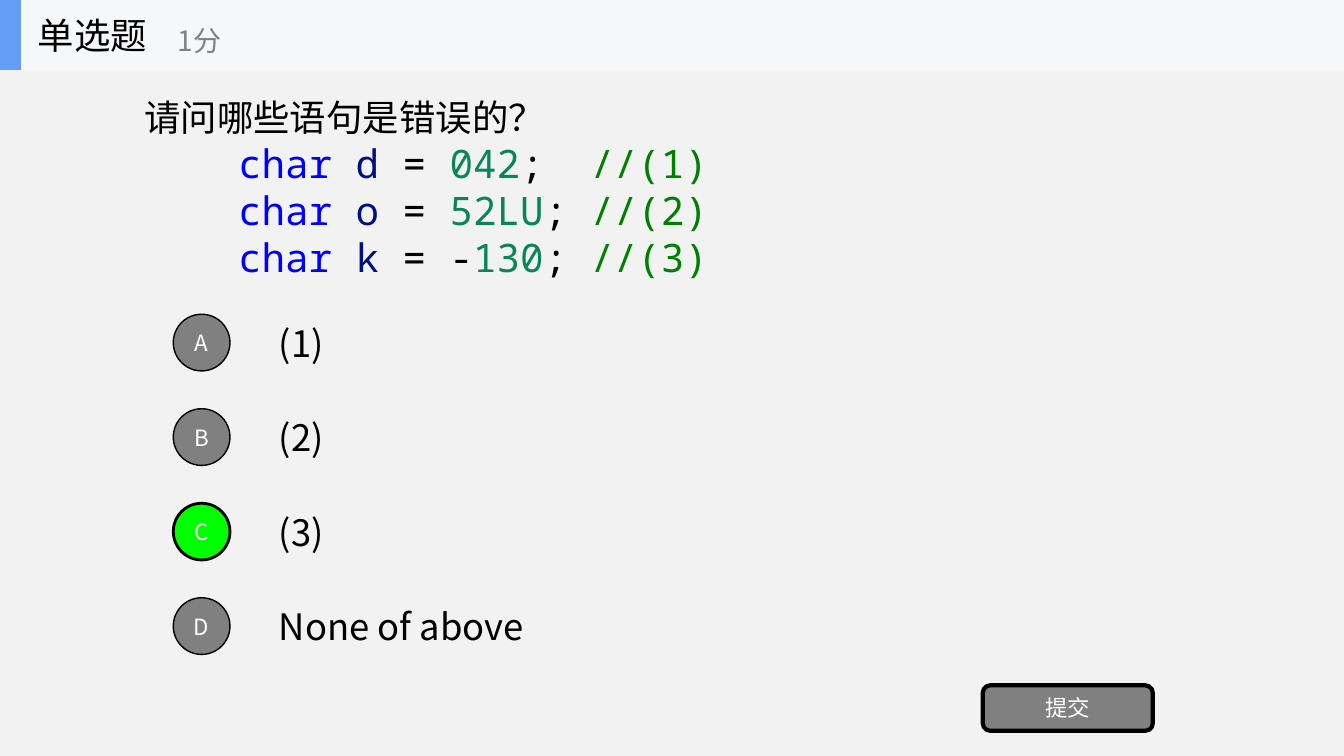
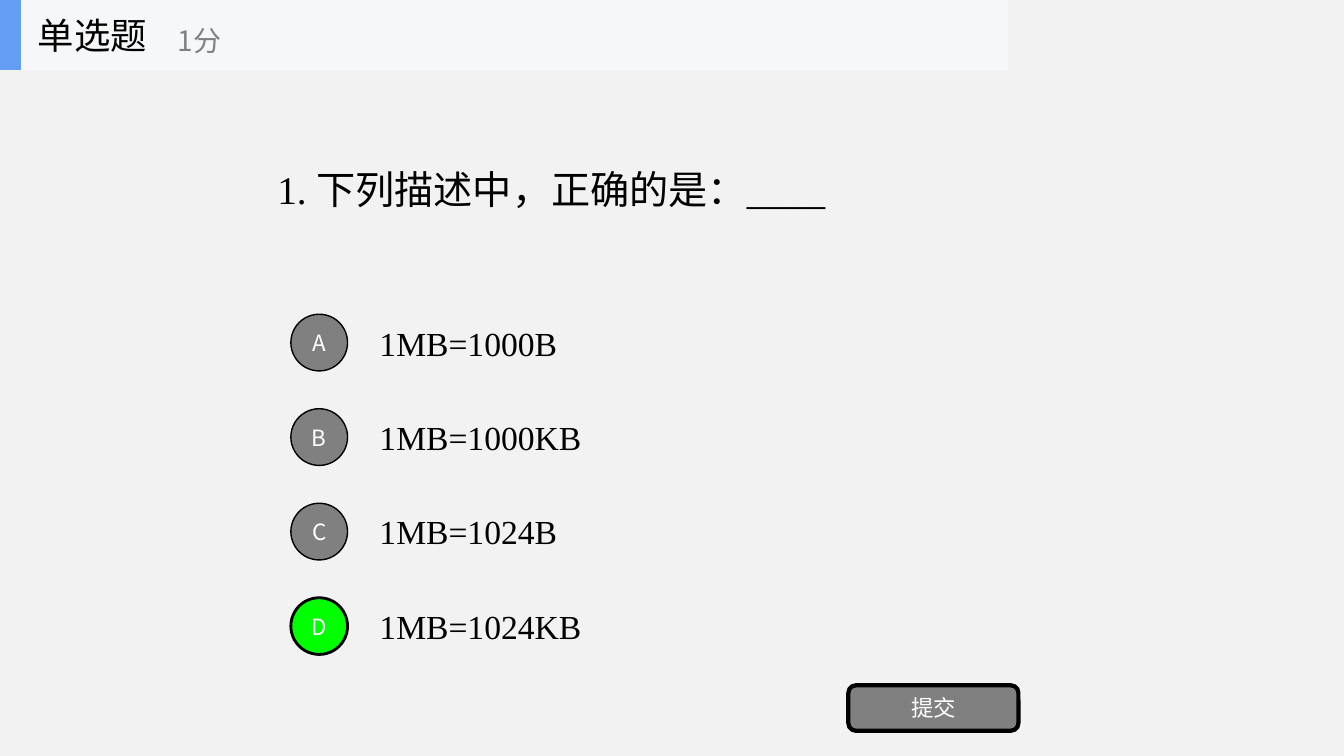
from lxml.etree import SubElement
from pptx import Presentation
from pptx.dml.color import RGBColor
from pptx.enum.shapes import MSO_SHAPE as SHAPE
from pptx.enum.text import MSO_ANCHOR as ANCHOR, PP_ALIGN as ALIGN
from pptx.oxml.ns import qn
from pptx.util import Pt

COLORS = {
    "page": "F2F2F2", "band": "F6F7F8", "accent": "639EF4",
    "text": "000000", "grey": "808080", "white": "FFFFFF", "correct": "00FF00",
    "keyword": "0000FF", "variable": "001080", "number": "098658", "comment": "008000",
}
SANS, MONO, SERIF = "Noto Sans CJK SC", "Noto Sans Mono", "Times New Roman"
HEADER_H = 50
OPTION_MID, OPTION_PITCH = 244.7, 67.5
OPTION_H, BUTTON_D = 50.5, 40.5


def rgb(name):
    return RGBColor.from_string(COLORS[name])


def add_paragraph(tf, runs, size, font=SANS, align=ALIGN.LEFT):
    """Write (text, colour) runs into the empty first paragraph or a new one."""
    p = tf.paragraphs[0] if not tf.paragraphs[0].runs else tf.add_paragraph()
    p.alignment = align
    for text, color in runs:
        r = p.add_run()
        r.text = text
        for name, value in {"size": Pt(size), "name": font}.items():
            setattr(r.font, name, value)
        r.font.color.rgb = rgb(color)
        east_asian = SANS if font == SERIF else font
        SubElement(r._r.get_or_add_rPr(), qn("a:ea"), typeface=east_asian)


def add_text(shapes, box, paragraphs):
    """Add a middle-anchored box; each paragraph is (runs, size, font)."""
    tf = shapes.add_textbox(*map(Pt, box)).text_frame
    tf.word_wrap = True
    tf.vertical_anchor = ANCHOR.MIDDLE
    for runs, size, font in paragraphs:
        add_paragraph(tf, runs, size, font)


def add_shape(shapes, kind, box, fill, line=0):
    s = shapes.add_shape(kind, *map(Pt, box))
    s.shadow.inherit = False
    s.fill.solid()
    s.fill.fore_color.rgb = rgb(fill)
    if line:
        s.line.color.rgb = rgb("text")
        s.line.width = Pt(line)
    else:
        s.line.fill.background()
    return s


def add_button(shapes, kind, box, label, fill, line):
    tf = add_shape(shapes, kind, box, fill, line).text_frame
    for side in ("left", "right", "top", "bottom"):
        setattr(tf, f"margin_{side}", 0)
    tf.vertical_anchor = ANCHOR.MIDDLE
    add_paragraph(tf, [(label, "white")], 16, align=ALIGN.CENTER)


def add_header(slide, width):
    shapes = slide.shapes.add_group_shape().shapes
    add_shape(shapes, SHAPE.RECTANGLE, (0, 0, width, HEADER_H), "band")
    add_shape(shapes, SHAPE.RECTANGLE, (0, 0, 15, HEADER_H), "accent")
    add_text(shapes, (20, 0, 150, HEADER_H), [([("单选题", "text")], 26, SANS)])
    add_text(shapes, (120, 9, 180, 40), [([("1分", "grey")], 20, SANS)])


def add_options(slide, options, correct, button_x, text_x, text_w, size, font):
    for i, (letter, option) in enumerate(zip("ABCD", options)):
        mid = OPTION_MID + i * OPTION_PITCH
        add_text(slide.shapes, (text_x, mid - OPTION_H / 2, text_w, OPTION_H),
                 [([(option, "text")], size, font)])
        fill, line = ("correct", 2) if letter == correct else ("grey", 1)
        add_button(slide.shapes, SHAPE.OVAL,
                   (button_x, mid - BUTTON_D / 2, BUTTON_D, BUTTON_D), letter, fill, line)


def add_question(prs, header_w, question_box, question, submit_x, **options):
    slide = prs.slides.add_slide(prs.slide_layouts[6])
    add_text(slide.shapes, question_box, question)
    add_options(slide, **options)
    add_button(slide.shapes, SHAPE.ROUNDED_RECTANGLE, (submit_x, 489.5, 121.5, 32.5),
               "提交", "grey", 3)
    add_header(slide, header_w)


def code_line(variable, equals, number, end, comment):
    runs = [("    ", "text"), ("char ", "keyword"), (variable, "variable"),
            (equals, "text"), (number, "number"), (end, "text"), (comment, "comment")]
    return runs, 28, MONO


def main():
    prs = Presentation()
    prs.slide_width, prs.slide_height = Pt(960), Pt(540)
    background = prs.slide_master.background.fill
    background.solid()
    background.fore_color.rgb = rgb("page")

    add_question(
        prs, 960, (96, 50, 768, 168.5),
        [([("请问哪些语句是错误的？", "text")], 26, SANS),
         code_line("d", " = ", "042", ";  ", "//(1)"),
         code_line("o", " = ", "52LU", "; ", "//(2)"),
         code_line("k", " = -", "130", "; ", "//(3)")],
        submit_x=702, options=["(1)", "(2)", "(3)", "None of above"], correct="C",
        button_x=123.75, text_x=192, text_w=672, size=26, font=SANS)
    add_question(
        prs, 720, (191, 51, 576, 168.5),
        [([("1. 下列描述中，正确的是：____", "text")], 28, SERIF)],
        submit_x=606, options=["1MB=1000B", "1MB=1000KB", "1MB=1024B", "1MB=1024KB"],
        correct="D", button_x=207.75, text_x=264, text_w=504, size=24, font=SERIF)
    prs.save("out.pptx")


if __name__ == "__main__":
    main()
